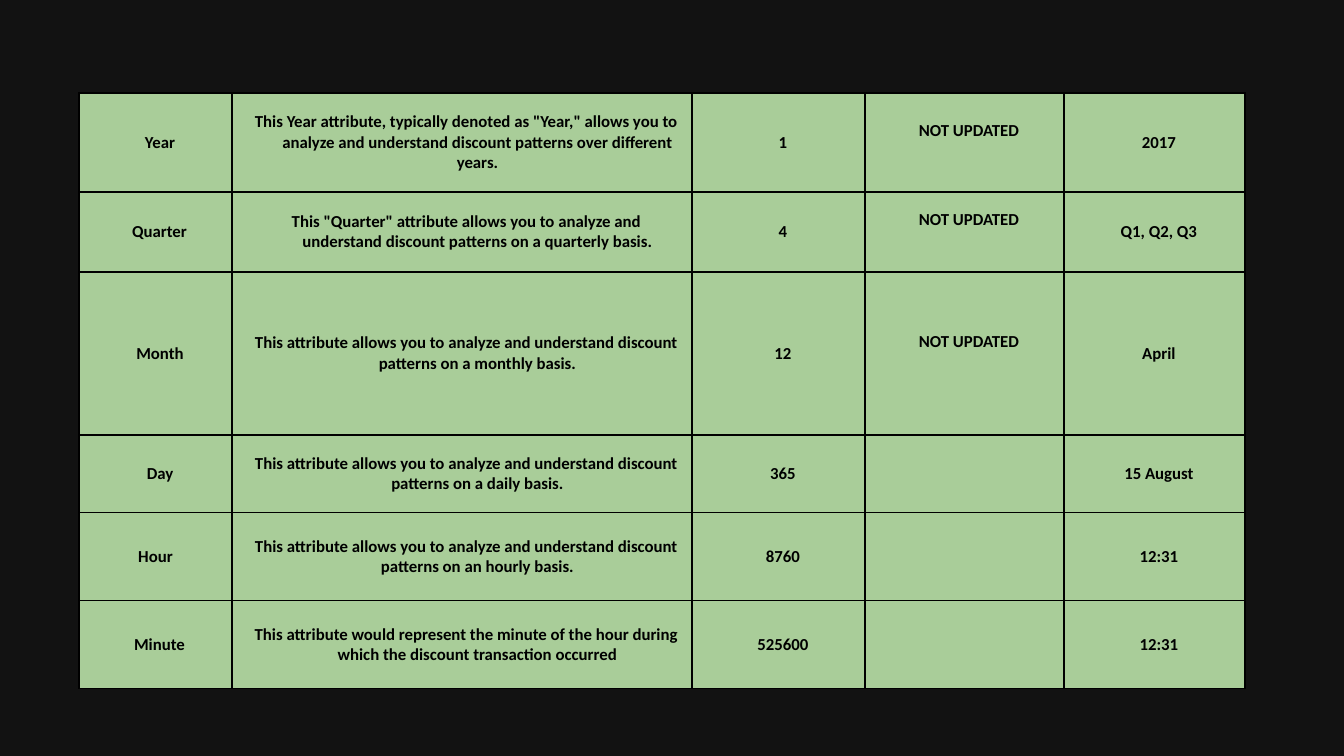
from dataclasses import dataclass

from lxml.etree import SubElement
from pptx import Presentation
from pptx.dml.color import RGBColor as RGB
from pptx.enum.text import MSO_ANCHOR as ANCHOR, PP_ALIGN as ALIGN
from pptx.oxml.ns import qn
from pptx.util import Emu, Pt


@dataclass(frozen=True)
class Theme:
    background: str = "121212"
    cell: str = "A9CD99"
    ink: str = "000000"
    font: str = "Calibri"
    size: int = 12
    border: int = 1


THEME = Theme()
COLUMNS = [153, 460, 173, 199, 181]
ROWS = [99, 80, 163, 78, 88, 88]
STATUS_COLUMN = 3
STATUS_BOTTOM = 29
HANGING = (31, -22)
LABEL_INDENTS = {"Quarter": (8, 0), "Minute": (8, 0), "Hour": (0, 0)}
STATUS = "NOT UPDATED"
ANALYZE = "This attribute allows you to analyze and understand discount patterns on"
ATTRIBUTES = [
    ("Year", 'This Year attribute, typically denoted as "Year," allows you to analyze '
     "and understand discount patterns over different years.", "1", STATUS, "2017"),
    ("Quarter", 'This "Quarter" attribute allows you to analyze and understand '
     "discount patterns on a quarterly basis.", "4", STATUS, "Q1, Q2, Q3"),
    ("Month", f"{ANALYZE} a monthly basis.", "12", STATUS, "April"),
    ("Day", f"{ANALYZE} a daily basis.", "365", "", "15 August"),
    ("Hour", f"{ANALYZE} an hourly basis.", "8760", "", "12:31"),
    ("Minute", "This attribute would represent the minute of the hour during which "
     "the discount transaction occurred", "525600", "", "12:31"),
]


def px(n):
    return Emu(round(n * 914400 / 100.8))


def set_borders(cell):
    tc_pr = cell._tc.get_or_add_tcPr()
    for side in ("lnL", "lnR", "lnT", "lnB"):
        ln = SubElement(tc_pr, qn(f"a:{side}"), w=str(Pt(THEME.border)))
        fill = SubElement(ln, qn("a:solidFill"))
        SubElement(fill, qn("a:srgbClr"), val=THEME.ink)


def write_text(cell, text, indents):
    p = cell.text_frame.paragraphs[0]
    p.text = text
    p.alignment = ALIGN.CENTER
    left, first = indents
    p_pr = p._p.get_or_add_pPr()
    p_pr.set("marL", str(px(left)))
    p_pr.set("indent", str(px(first)))
    for r in p.runs:
        r.font.name = THEME.font
        r.font.size = Pt(THEME.size)
        r.font.bold = True
        r.font.color.rgb = RGB.from_string(THEME.ink)


def style_cell(cell):
    set_borders(cell)
    cell.fill.solid()
    cell.fill.fore_color.rgb = RGB.from_string(THEME.cell)
    cell.vertical_anchor = ANCHOR.MIDDLE
    cell.margin_left = cell.margin_right = px(10)
    cell.margin_top = cell.margin_bottom = px(5)


def add_attribute_table(s, left, top):
    table = s.shapes.add_table(len(ROWS), len(COLUMNS), px(left), px(top),
                               px(sum(COLUMNS)), px(sum(ROWS))).table
    table.first_row = table.horz_banding = False
    for column, width in zip(table.columns, COLUMNS):
        column.width = px(width)
    for row, height, texts in zip(table.rows, ROWS, ATTRIBUTES):
        row.height = px(height)
        for i, (cell, text) in enumerate(zip(row.cells, texts)):
            style_cell(cell)
            if i == STATUS_COLUMN:
                cell.margin_bottom = px(STATUS_BOTTOM)
            if text:
                write_text(cell, text, LABEL_INDENTS.get(text, HANGING))


def main():
    prs = Presentation()
    prs.slide_width, prs.slide_height = px(1344), px(756)
    s = prs.slides.add_slide(prs.slide_layouts[6])
    s.background.fill.solid()
    s.background.fill.fore_color.rgb = RGB.from_string(THEME.background)
    add_attribute_table(s, 79, 93)
    prs.save("out.pptx")


if __name__ == "__main__":
    main()
